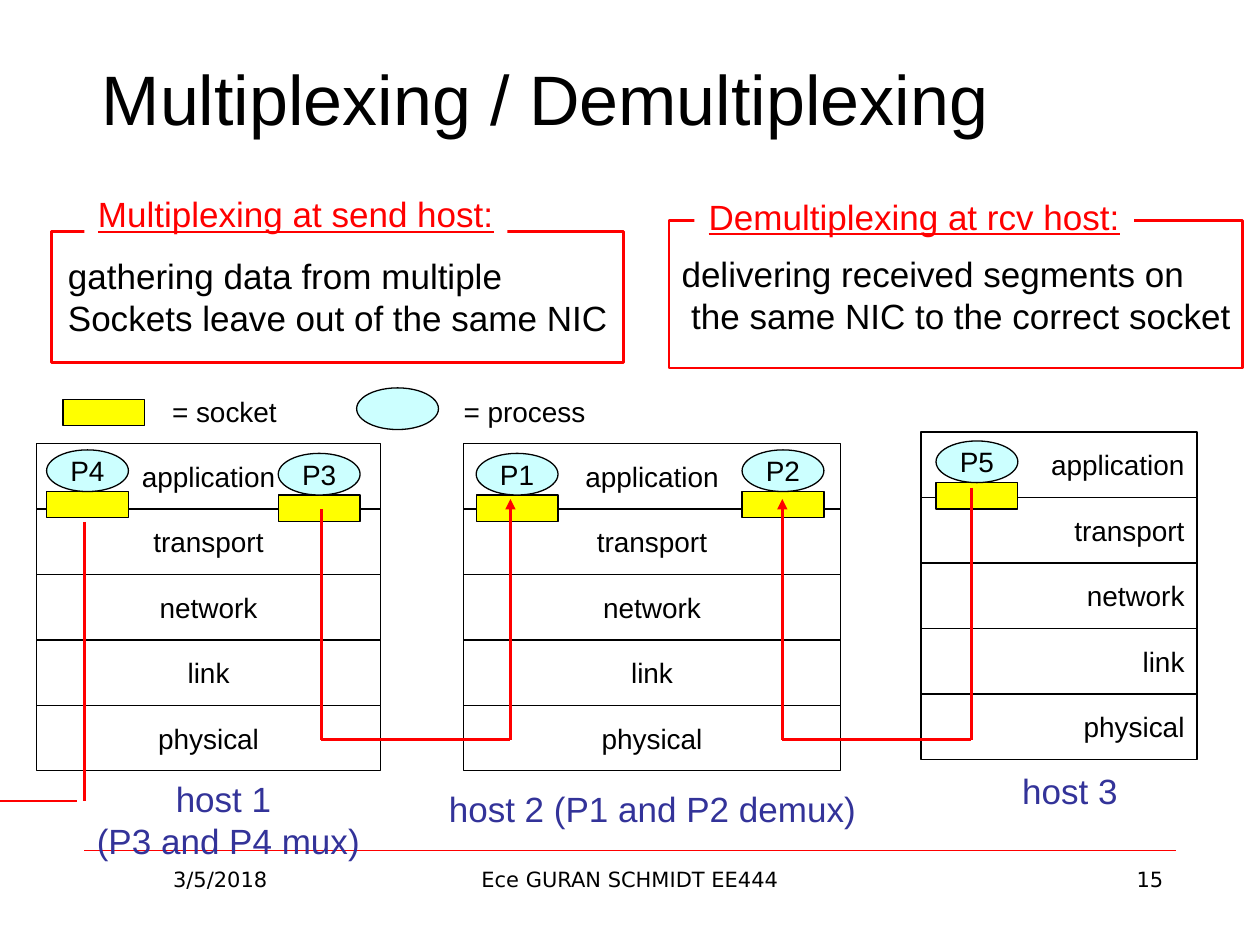
"""Build the Multiplexing / Demultiplexing slide with three protocol stacks."""
from lxml import etree
from pptx import Presentation
from pptx import util as u
from pptx.dml.color import RGBColor
from pptx.enum import shapes, text
from pptx.oxml import ns

BLACK, WHITE, RED, BLUE = "000000", "FFFFFF", "FF0000", "333399"
YELLOW, CYAN = "FFFF00", "CCFFFF"
ALIGN = {"l": text.PP_ALIGN.LEFT, "c": text.PP_ALIGN.CENTER, "r": text.PP_ALIGN.RIGHT}
RECT, OVAL = shapes.MSO_SHAPE.RECTANGLE, shapes.MSO_SHAPE.OVAL
MIDDLE, TOP = text.MSO_ANCHOR.MIDDLE, text.MSO_ANCHOR.TOP

TITLE = "Multiplexing / Demultiplexing"
FOOTERS = [("3/5/2018", 1.69, 5.5, "c"),
           ("Ece GURAN SCHMIDT EE444", 8.68, 8.04, "c"),
           ("15", 18.2, 5.5, "r")]
LAYERS = ["application", "transport", "network", "link", "physical"]
LAYER_HEIGHT = 1.32
HOSTS = [(0.74, 8.94, 6.93, "c"), (18.57, 8.71, 5.56, "r"), (9.35, 8.94, 7.59, "c")]
PROCESSES = [("P2", 14.96, 9.07), ("P3", 5.61, 9.14), ("P5", 18.87, 8.89),
             ("P1", 9.6, 9.14), ("P4", 0.94, 9.07)]
PROCESS_SIZE, SOCKET_SIZE = (1.65, 0.84), (1.65, 0.53)
CAPTIONS = [(["host 1 ", "(P3 and P4 mux)"], (0.86, 15.54, 7.49, 1.96)),
            (["host 2 (P1 and P2 demux)"], (8.76, 15.75, 8.79, 1.12)),
            (["host 3"], (20.35, 15.39, 2.44, 1.12))]
LEGEND = [("= process", (9.09, 7.82, 2.97, 0.94)), ("= socket", (3.18, 7.82, 2.69, 0.94))]
DEFINITIONS = [
    ("Demultiplexing at rcv host:", (14, 3.81, 8.86, 1.12), (13.49, 4.45, 11.56, 2.97),
     ["delivering received segments on", " the same NIC to the correct socket"],
     (13.49, 4.45, 11.56, 2.97), MIDDLE),
    ("Multiplexing at send host:", (1.7, 3.76, 8.53, 1.12), (1.04, 4.67, 11.53, 2.64),
     ["gathering data from multiple", "Sockets leave out of the same NIC"],
     (1.12, 5, 11.46, 1.96), TOP)]
BUS = 14.91
FLOWS = [((6.48, 10.26), (6.48, BUS), False), ((10.29, BUS), (10.29, 10.06), True),
         ((6.48, BUS), (10.29, BUS), False), ((19.58, 9.83), (19.58, BUS), False),
         ((15.77, BUS), (15.77, 10.06), True), ((15.77, BUS), (19.58, BUS), False),
         ((1.7, 10.52), (1.7, 16.15), False), ((0, 16.15), (1.55, 16.15), False)]


def color(value):
    return RGBColor.from_string(value)


def apply(target, values):
    for name, value in values.items():
        setattr(target, name, value)


def write(holder, lines, size, ink=BLACK, align="c", anchor=TOP, font="Arial",
          wrap=False, underline=None):
    frame = holder.text_frame
    apply(frame, {"text": "\n".join(lines), "word_wrap": wrap, "vertical_anchor": anchor})
    for paragraph in frame.paragraphs:
        paragraph.alignment = ALIGN[align]
        for run in paragraph.runs:
            apply(run.font, {"name": font, "size": u.Pt(size), "underline": underline})
            run.font.color.rgb = color(ink)


def add_block(slide, preset, box, fill=None, outline=BLACK, width=0.75):
    block = slide.shapes.add_shape(preset, *map(u.Cm, box))
    block.shadow.inherit = False
    if fill:
        block.fill.solid()
        block.fill.fore_color.rgb = color(fill)
    else:
        block.fill.background()
    if outline:
        block.line.color.rgb = color(outline)
        block.line.width = u.Pt(width)
    else:
        block.line.fill.background()
    return block


def add_label(slide, lines, box, size, **style):
    write(slide.shapes.add_textbox(*map(u.Cm, box)), lines, size, **style)


def add_line(slide, start, end, width=1.5, arrow=False):
    line = slide.shapes.add_connector(
        shapes.MSO_CONNECTOR.STRAIGHT, *map(u.Cm, start + end))
    line.line.color.rgb = color(RED)
    line.line.width = u.Pt(width)
    if arrow:
        etree.SubElement(line.line._get_or_add_ln(), ns.qn("a:tailEnd"), type="triangle")
    etree.SubElement(line._element.spPr, ns.qn("a:effectLst"))


def add_process(slide, name, left, top):
    add_block(slide, RECT, (left, top + PROCESS_SIZE[1]) + SOCKET_SIZE, YELLOW)
    process = add_block(slide, OVAL, (left, top) + PROCESS_SIZE, CYAN)
    write(process, [name], 16, anchor=MIDDLE)


def main():
    deck = Presentation()
    apply(deck, {"slide_width": u.Cm(25.4), "slide_height": u.Cm(19.05)})
    slide = deck.slides.add_slide(deck.slide_layouts[5])

    title = slide.shapes.title
    apply(title, {"left": u.Cm(1.04), "top": u.Cm(0.69),
                  "width": u.Cm(19.89), "height": u.Cm(2.54)})
    write(title, [TITLE], 40, anchor=MIDDLE, wrap=True)

    add_line(slide, (1.7, 17.15), (23.7, 17.15), width=0.25)
    for words, left, width, align in FOOTERS:
        add_label(slide, [words], (left, 17.35, width, 1.32), 12,
                  align=align, font="DejaVu Sans", wrap=True)

    for left, top, width, align in HOSTS:
        for row, layer in enumerate(LAYERS):
            box = (left, top + row * LAYER_HEIGHT, width, LAYER_HEIGHT)
            write(add_block(slide, RECT, box, WHITE), [layer], 16, align=align, anchor=MIDDLE)

    for process in PROCESSES:
        add_process(slide, *process)
    for lines, box in CAPTIONS:
        add_label(slide, lines, box, 20, ink=BLUE, wrap=len(lines) > 1)
    for start, end, arrow in FLOWS:
        add_line(slide, start, end, arrow=arrow)

    add_block(slide, RECT, (1.27, 8.05) + SOCKET_SIZE, YELLOW)
    add_block(slide, OVAL, (7.19, 7.82) + PROCESS_SIZE, CYAN)
    for words, box in LEGEND:
        add_label(slide, [words], box, 16)

    for heading, heading_box, frame_box, lines, body_box, anchor in DEFINITIONS:
        frame = add_block(slide, RECT, frame_box, outline=RED, width=1.5)
        if body_box == frame_box:
            write(frame, lines, 20, align="l", anchor=anchor)
        else:
            add_label(slide, lines, body_box, 20, align="l", anchor=anchor)
        plate = add_block(slide, RECT, heading_box, WHITE, outline=None)
        write(plate, [heading], 20, ink=RED, underline=True)

    deck.save("out.pptx")


if __name__ == "__main__":
    main()
